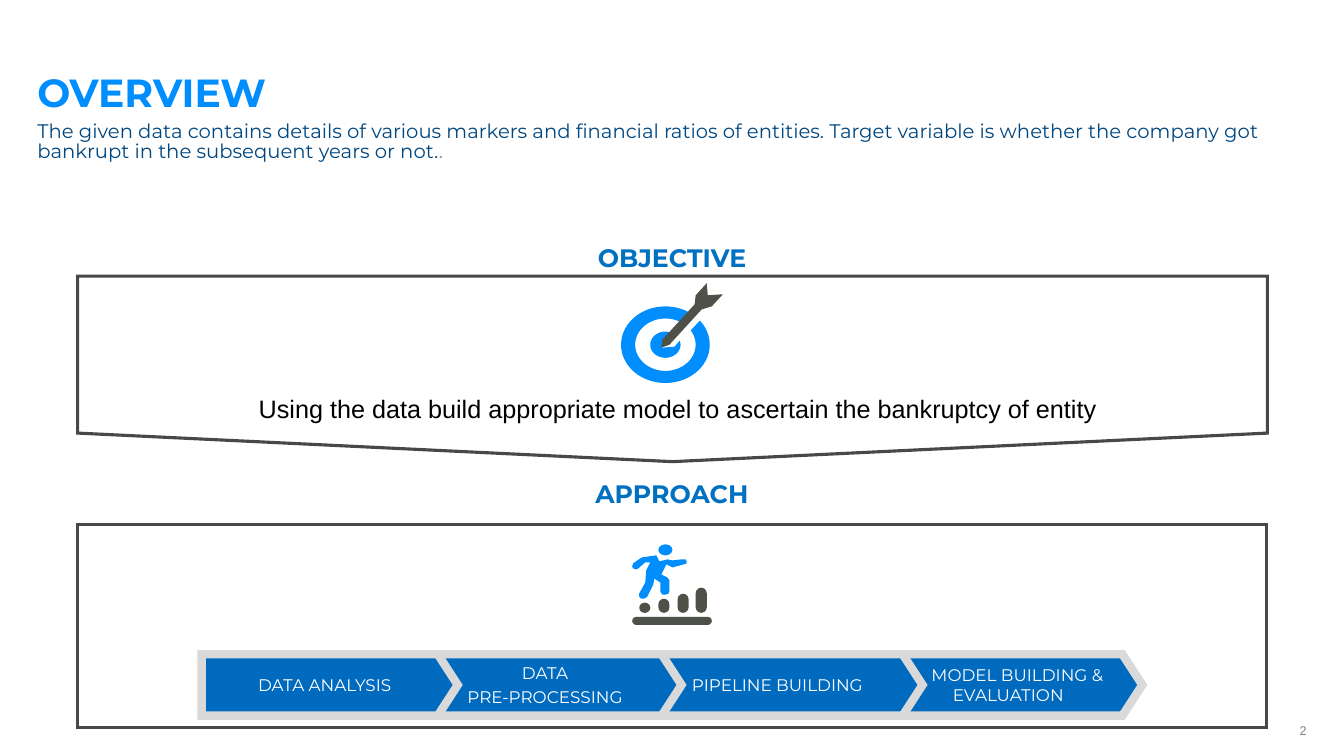
"""Build the overview slide with its objective and approach panels."""
from math import cos, radians, sin

from lxml.etree import SubElement
from pptx import Presentation
from pptx.dml.color import RGBColor
from pptx.enum.shapes import MSO_SHAPE
from pptx.enum.text import MSO_ANCHOR, PP_ALIGN
from pptx.oxml.ns import qn
from pptx.util import Inches, Pt

BRIGHT_BLUE = RGBColor(0x00, 0x8E, 0xFF)
HEADING_BLUE = RGBColor(0x00, 0x70, 0xC0)
STEP_BLUE = RGBColor(0x00, 0x6A, 0xBF)
NAVY = RGBColor(0x00, 0x47, 0x80)
FRAME_GREY = RGBColor(0x48, 0x48, 0x48)
ICON_GREY = RGBColor(0x4E, 0x51, 0x47)
STEP_EDGE = RGBColor(0xD9, 0xD9, 0xD9)
DOT_GREY = RGBColor(0x91, 0x91, 0x91)
PAGE_GREY = RGBColor(0x80, 0x80, 0x80)
WHITE = RGBColor(0xFF, 0xFF, 0xFF)
BLACK = RGBColor(0x00, 0x00, 0x00)

STEPS = [
    (8.77, 2.56, ["MODEL BUILDING & EVALUATION"], 0.18),
    (6.37, 2.78, ["PIPELINE BUILDING"], 0),
    (4.15, 2.61, ["DATA", "PRE-PROCESSING"], 0),
    (2.0, 2.54, ["DATA ANALYSIS"], 0),
]
ARROW = [(7.17, 2.92), (7.02, 2.93), (7.01, 2.81), (6.9, 2.93), (6.89, 3.02),
         (6.57, 3.37), (6.56, 3.45), (6.64, 3.42), (6.96, 3.07), (7.06, 3.04)]
RUNNER = [(6.81, 5.57), (6.8, 5.55), (6.76, 5.55), (6.67, 5.56), (6.62, 5.55),
          (6.54, 5.57), (6.51, 5.51), (6.37, 5.53), (6.35, 5.54), (6.28, 5.59),
          (6.27, 5.62), (6.28, 5.64), (6.31, 5.65), (6.33, 5.64), (6.4, 5.58),
          (6.45, 5.58), (6.41, 5.66), (6.4, 5.78), (6.34, 5.89), (6.34, 5.92),
          (6.36, 5.94), (6.39, 5.94), (6.42, 5.92), (6.48, 5.8), (6.49, 5.74),
          (6.55, 5.78), (6.55, 5.87), (6.57, 5.9), (6.6, 5.9), (6.63, 5.89),
          (6.64, 5.86), (6.64, 5.76), (6.62, 5.73), (6.56, 5.7), (6.61, 5.6),
          (6.67, 5.63), (6.78, 5.6), (6.81, 5.59)]


def set_insets(frame, left, top, right, bottom):
    """Set the four text margins in inches."""
    frame.margin_left, frame.margin_top = Inches(left), Inches(top)
    frame.margin_right, frame.margin_bottom = Inches(right), Inches(bottom)


def style_paragraph(paragraph, size, color, font="Montserrat", bold=False,
                    align=PP_ALIGN.LEFT, spacing=1.0, before=0, after=0):
    """Set the font, alignment and spacing of a paragraph."""
    paragraph.font.size, paragraph.font.name = Pt(size), font
    paragraph.font.bold, paragraph.font.color.rgb = bold, color
    paragraph.alignment, paragraph.line_spacing = align, spacing
    paragraph.space_before, paragraph.space_after = Pt(before), Pt(after)


def add_text(slide, box, text, insets=(0, 0, 0, 0), anchor=MSO_ANCHOR.TOP,
             wrap=True, **style):
    """Add a one-paragraph text box."""
    textbox = slide.shapes.add_textbox(*map(Inches, box))
    frame = textbox.text_frame
    frame.word_wrap, frame.vertical_anchor = wrap, anchor
    set_insets(frame, *insets)
    frame.text = text
    style_paragraph(frame.paragraphs[0], **style)
    return textbox


def add_heading(slide, box, text):
    """Add a centred panel heading."""
    return add_text(slide, box, text, (0.04,) * 4, wrap=False, size=18,
                    color=HEADING_BLUE, bold=True, align=PP_ALIGN.CENTER)


def add_preset(slide, preset, box, fill=None, edge=None, edge_width=0, adjust=None):
    """Add a preset shape with a mitred outline or none."""
    shape = slide.shapes.add_shape(preset, *map(Inches, box))
    shape.shadow.inherit = False
    if adjust is not None:
        shape.adjustments[0] = adjust
    if fill is None:
        shape.fill.background()
    else:
        shape.fill.solid()
        shape.fill.fore_color.rgb = fill
    if edge is None:
        shape.line.fill.background()
    else:
        shape.line.color.rgb, shape.line.width = edge, Pt(edge_width)
        outline = shape.line.color._xFill.getparent()
        SubElement(outline, qn("a:miter"), lim="800000")
    return shape


def add_panel(slide, box, point):
    """Add a frame whose lower edge points downward."""
    panel = add_preset(slide, MSO_SHAPE.PENTAGON, box, edge=FRAME_GREY,
                       edge_width=2.25, adjust=point)
    panel.rotation = 90


def add_step(slide, left, width, lines, indent):
    """Add one labelled arrow of the approach."""
    step = add_preset(slide, MSO_SHAPE.PENTAGON, (left, 6.49, width, 0.61),
                      STEP_BLUE, STEP_EDGE, 6, 0.324)
    frame = step.text_frame
    frame.word_wrap, frame.vertical_anchor = True, MSO_ANCHOR.MIDDLE
    set_insets(frame, 0.1, 0.1, 0.1, 0.1)
    frame.text = "\n".join(lines)
    for paragraph in frame.paragraphs:
        style_paragraph(paragraph, 12, WHITE, align=PP_ALIGN.CENTER, after=3)
        if indent:
            paragraph._p.get_or_add_pPr().set("indent", str(Inches(indent)))


def add_outline(slide, points, fill):
    """Add a closed filled outline through points in inches."""
    corners = [(Inches(x), Inches(y)) for x, y in points]
    builder = slide.shapes.build_freeform(*corners[0])
    builder.add_line_segments(corners[1:], close=True)
    outline = builder.convert_to_shape()
    outline.shadow.inherit = False
    outline.fill.solid()
    outline.fill.fore_color.rgb = fill
    outline.line.fill.background()


def arc(radius_x, radius_y, start, end, steps=60):
    """Return points on an ellipse around the target centre."""
    angles = [radians(start + (end - start) * i / steps) for i in range(steps + 1)]
    return [(6.6 + radius_x * cos(a), 3.42 + radius_y * sin(a)) for a in angles]


def add_target(slide):
    """Draw the target with its arrow."""
    hub = arc(0.15, 0.13, -18, 304) + [(6.56, 3.45), (6.69, 3.44)]
    ring = arc(0.44, 0.38, -39, 309) + arc(0.3, 0.26, 309, -33)
    for points, fill in ((hub, BRIGHT_BLUE), (ring, BRIGHT_BLUE), (ARROW, ICON_GREY)):
        add_outline(slide, points, fill)


def add_climber(slide):
    """Draw the runner above the rising bars."""
    add_preset(slide, MSO_SHAPE.ROUNDED_RECTANGLE, (6.27, 6.12, 0.79, 0.08),
               ICON_GREY, adjust=0.5)
    for left, height in ((6.34, 0.1), (6.53, 0.14), (6.72, 0.19), (6.9, 0.25)):
        add_preset(slide, MSO_SHAPE.ROUNDED_RECTANGLE,
                   (left, 6.08 - height, 0.11, height), ICON_GREY, adjust=0.5)
    add_preset(slide, MSO_SHAPE.OVAL, (6.53, 5.4, 0.14, 0.11), BRIGHT_BLUE)
    add_outline(slide, RUNNER, BRIGHT_BLUE)


def main():
    """Build and save the slide."""
    deck = Presentation()
    deck.slide_width, deck.slide_height = Inches(13.33), Inches(7.5)
    slide = deck.slides.add_slide(deck.slide_layouts[6])

    add_text(slide, (12.12, 7.17, 0.84, 0.15), "2", size=9, color=PAGE_GREY,
             font="Arial", align=PP_ALIGN.RIGHT)
    add_text(slide, (0.37, 0.04, 12.6, 1.1), "OVERVIEW", anchor=MSO_ANCHOR.BOTTOM,
             size=28, color=BRIGHT_BLUE, bold=True, spacing=0.75)
    add_panel(slide, (5.75, -2.24, 1.84, 11.8), 0.154)
    add_text(slide, (0.52, 2.48, 12.3, 3.19),
             "Using the data build appropriate model to ascertain the bankruptcy of entity",
             (0.2, 0.1, 0.1, 0.1), MSO_ANCHOR.MIDDLE, size=18, color=BLACK,
             font="Arial", align=PP_ALIGN.CENTER, spacing=0.85, after=6)
    add_heading(slide, (5.82, 2.36, 1.69, 0.38), "OBJECTIVE")
    summary = add_text(
        slide, (0.37, 1.22, 12.78, 0.5),
        "The given data contains details of various markers and financial ratios of "
        "entities. Target variable is whether the company got bankrupt in the "
        "subsequent years or not.",
        size=14, color=NAVY, spacing=0.85, before=6, after=6)
    final_dot = summary.text_frame.paragraphs[0].add_run()
    final_dot.text = "."
    final_dot.font.color.rgb = DOT_GREY
    add_target(slide)

    approach = add_heading(slide, (5.85, 4.7, 1.63, 0.38), "APPROACH")
    approach.fill.solid()
    approach.fill.fore_color.rgb = WHITE
    for step in STEPS:
        add_step(slide, *step)
    add_panel(slide, (5.66, 0.31, 2.01, 11.8), 0)
    add_climber(slide)
    deck.save("out.pptx")


if __name__ == "__main__":
    main()
